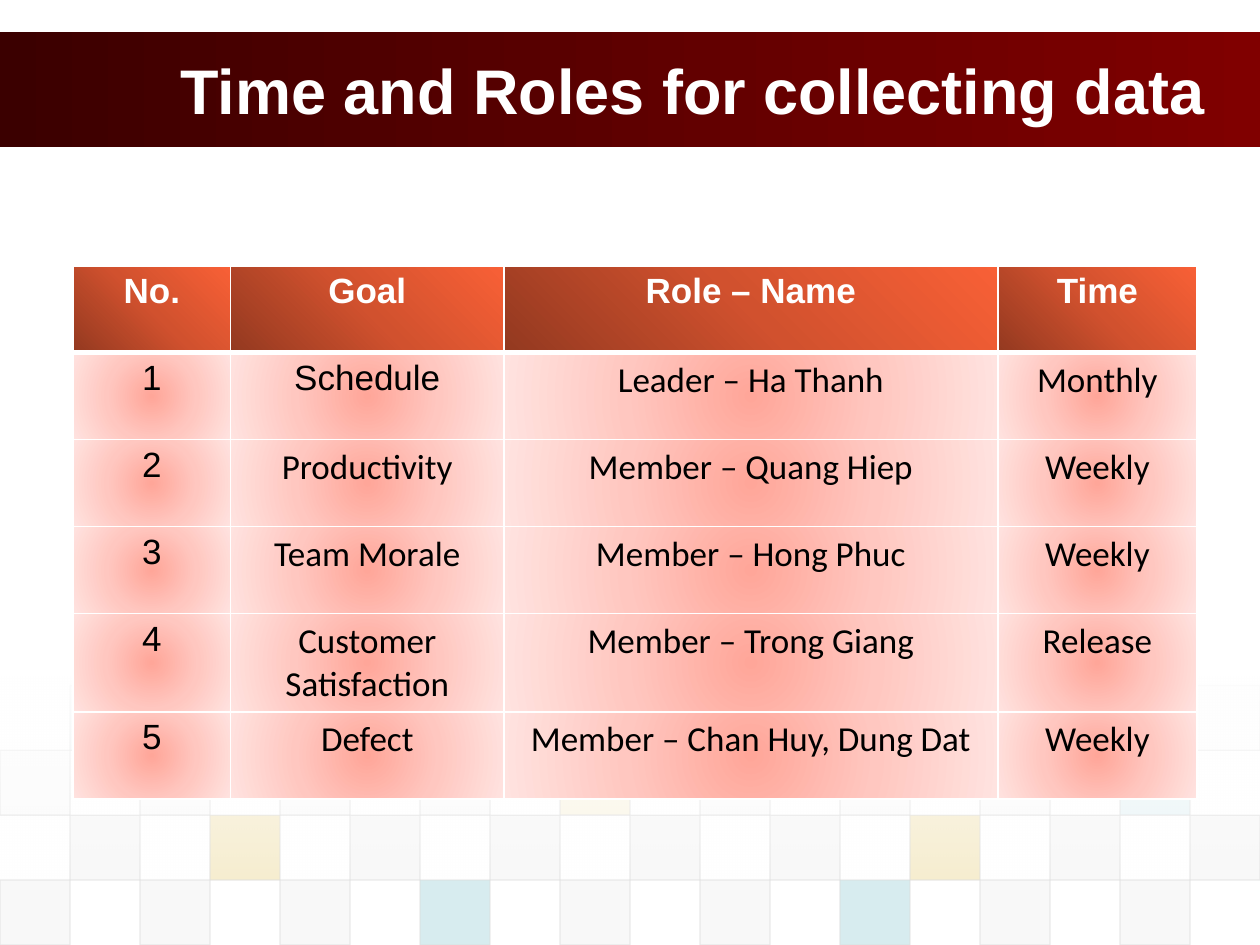
from lxml.etree import SubElement
from pptx import Presentation
from pptx.dml.color import RGBColor
from pptx.enum.shapes import MSO_SHAPE as Shape
from pptx.enum.text import MSO_ANCHOR as Anchor, PP_ALIGN as Align
from pptx.oxml import parse_xml
from pptx.oxml.ns import nsdecls, qn
from pptx.util import Inches, Pt

WHITE = RGBColor(0xFF, 0xFF, 0xFF)
BLACK = RGBColor(0, 0, 0)
BAND = (RGBColor(0x3B, 0, 0), RGBColor(0x80, 0, 0))
HEAD = (RGBColor(0x93, 0x39, 0x20), RGBColor(0xD1, 0x51, 0x2E),
        RGBColor(0xF8, 0x60, 0x36))
BODY = (RGBColor(0xFF, 0xA6, 0x99), RGBColor(0xFF, 0xC7, 0xC0),
        RGBColor(0xFF, 0xE3, 0xE0))
GREY = RGBColor(0xDD, 0xDD, 0xDD)
TILES = {"D": GREY, "E": RGBColor(0xEA, 0xEA, 0xEA),
         "G": RGBColor(0xD3, 0xA9, 0x11), "T": RGBColor(0x38, 0xA3, 0xB2)}

# Checkerboard rows: first column, opacity, colour of every second tile
BOARD = [(1, 5, "TEETDTEGE"), (0, 10, "DDDDGDDDT"),
         (1, 20, "DGDDDDGDD"), (0, 20, "DDDTDDTDD")]

ROWS = [("No.", "Goal", "Role – Name", "Time"),
        ("1", "Schedule", "Leader – Ha Thanh", "Monthly"),
        ("2", "Productivity", "Member – Quang Hiep", "Weekly"),
        ("3", "Team Morale", "Member – Hong Phuc", "Weekly"),
        ("4", "Customer Satisfaction", "Member – Trong Giang", "Release"),
        ("5", "Defect", "Member – Chan Huy, Dung Dat", "Weekly")]
COLS = (1.25, 2.17, 3.92, 1.58)


def solid(color, alpha=100):
    return parse_xml(
        f'<a:solidFill {nsdecls("a")}><a:srgbClr val="{color}">'
        f'<a:alpha val="{alpha * 1000}"/></a:srgbClr></a:solidFill>')


def blend(colors, angle=None, alphas=(100, 100, 100)):
    """Even gradient: linear at an angle, or round from the centre."""
    step = 100000 // (len(colors) - 1)
    stops = "".join(
        f'<a:gs pos="{i * step}"><a:srgbClr val="{color}">'
        f'<a:alpha val="{alpha * 1000}"/></a:srgbClr></a:gs>'
        for i, (color, alpha) in enumerate(zip(colors, alphas)))
    if angle is None:
        way = ('<a:path path="circle"><a:fillToRect l="50000" t="50000" '
               'r="50000" b="50000"/></a:path>')
    else:
        way = f'<a:lin ang="{angle * 60000}" scaled="0"/>'
    return parse_xml(f'<a:gradFill {nsdecls("a")} rotWithShape="1">'
                     f'<a:gsLst>{stops}</a:gsLst>{way}</a:gradFill>')


def write(frame, text, size=20, font="Arial", color=BLACK, bold=False,
          align=Align.CENTER):
    para = frame.paragraphs[0]
    para.alignment = align
    run = para.add_run()
    run.text = text
    run.font.size, run.font.name = Pt(size), font
    run.font.color.rgb, run.font.bold = color, bold


def rect(slide, box, fill, edge=None):
    shape = slide.shapes.add_shape(Shape.RECTANGLE, *map(Inches, box))
    shape.shadow.inherit = False
    if edge is None:
        shape.line.fill.background()
    else:
        shape.line.width = Pt(0.75)
        shape.line.color.rgb = edge
        tint = shape.element.spPr.find(".//" + qn("a:srgbClr"))
        SubElement(tint, qn("a:alpha")).set("val", "60000")
    shape.element.spPr.insert(2, fill)


def board(slide, left, top, width, height):
    wide, high = width / 18, height / len(BOARD)
    for row, (first, alpha, marks) in enumerate(BOARD):
        for i, mark in enumerate(marks):
            spot = (left + (first + 2 * i) * wide, top + row * high)
            rect(slide, (*spot, wide, high), solid(TILES[mark], alpha), GREY)
    # White veil that fades the upper rows
    rect(slide, (left, top - 0.07, width, 1.62),
         blend((WHITE, WHITE), 90, (90, 0)))


def banner(slide, left, top, width, height):
    rect(slide, (left, top, width, height), blend(BAND, 0))
    title = slide.shapes.title
    inset = width * 2 / 15
    title.left, title.top = Inches(left + inset), Inches(top)
    title.width, title.height = Inches(width - inset), Inches(height)
    title.text_frame.vertical_anchor = Anchor.MIDDLE
    write(title.text_frame, "Time and Roles for collecting data", size=36,
          color=WHITE, bold=True, align=Align.LEFT)
    slide.shapes.element.append(title.element)  # bring to front


def border(cell, under):
    props = cell.fill and cell._tc.get_or_add_tcPr()
    for side in ("lnL", "lnR", "lnT", "lnB"):
        width = under if side == "lnB" else 1
        line = SubElement(props, qn("a:" + side), w=str(Pt(width)))
        line.append(solid(WHITE))
    return props


def grid(slide, left, top, width, height):
    table = slide.shapes.add_table(
        len(ROWS), len(COLS), *map(Inches, (left, top, width, height))).table
    table.horz_banding = False
    for col, share in zip(table.columns, COLS):
        col.width = Inches(width * share / sum(COLS))
    for r, texts in enumerate(ROWS):
        head = r == 0
        for c, text in enumerate(texts):
            cell = table.cell(r, c)
            props = border(cell, 3 if head else 1)
            props.append(blend(HEAD, 315) if head else blend(BODY))
            plain = head or c == 0 or text == "Schedule"
            write(cell.text_frame, text, bold=head,
                  font="Arial" if plain else "Calibri",
                  color=WHITE if head else BLACK)


def main():
    deck = Presentation()
    deck.slide_width, deck.slide_height = Inches(10), Inches(7.5)
    slide = deck.slides.add_slide(deck.slide_layouts[5])
    board(slide, 0, 5.44, 10, 2.06)
    banner(slide, 0, 0.25, 10, 0.92)
    grid(slide, 0.58, 2.11, 8.92, 4.14)
    deck.save("out.pptx")


if __name__ == "__main__":
    main()
